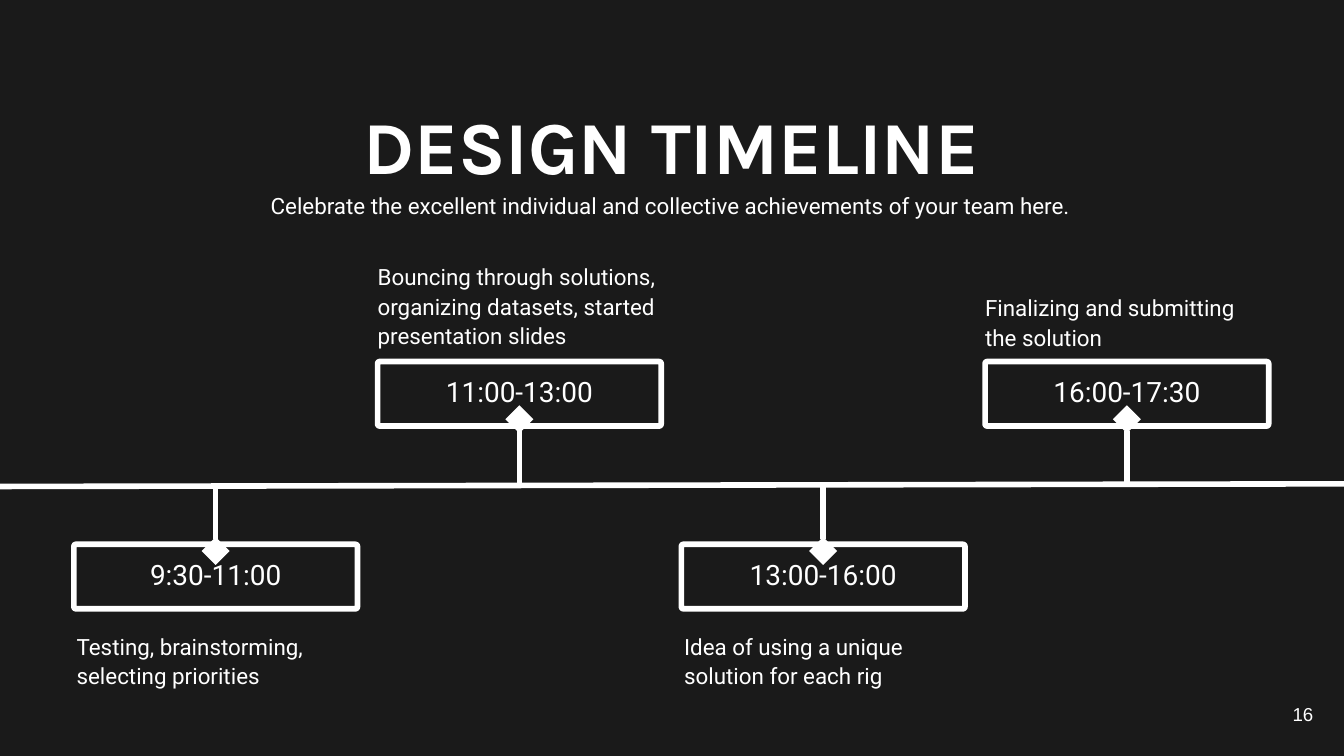
import lxml.etree
import pptx
import pptx.dml.color
import pptx.enum.shapes
import pptx.enum.text
import pptx.oxml.ns
import pptx.util

Inches = pptx.util.Inches
Align = pptx.enum.text.PP_ALIGN
Anchor = pptx.enum.text.MSO_ANCHOR

BACKGROUND = pptx.dml.color.RGBColor(0x1A, 0x1A, 0x1A)
WHITE = pptx.dml.color.RGBColor(0xFF, 0xFF, 0xFF)

SLIDE_WIDTH = 10
SLIDE_HEIGHT = SLIDE_WIDTH * 9 / 16
BOX_WIDTH = 2.11
BOX_HEIGHT = 0.48
FIRST_BOX_LEFT = 0.55
BOX_STEP = 2.26
UPPER_BOX_TOP = 2.69
LOWER_BOX_TOP = 4.05
AXIS_TOP = 3.61
STEM_LENGTH = 0.49
LABEL_OVERHANG = 0.11

EVENTS = [
    ("9:30-11:00", "Testing, brainstorming, selecting priorities", 4.69, 0.42),
    ("11:00-13:00",
     "Bouncing through solutions, organizing datasets, started presentation slides",
     1.94, 0.65),
    ("13:00-16:00", "Idea of using a unique solution for each rig", 4.69, 0.42),
    ("16:00-17:30", "Finalizing and submitting the solution", 2.17, 0.42),
]


def add_text(slide, text, left, top, width, height, size, font="Roboto",
             align=Align.LEFT, anchor=Anchor.TOP, inset=0, spacing=1.0, bold=False):
    shape = slide.shapes.add_textbox(
        Inches(left), Inches(top), Inches(width), Inches(height))
    frame = shape.text_frame
    frame.word_wrap = True
    frame.vertical_anchor = anchor
    frame.margin_left = frame.margin_right = Inches(inset)
    frame.margin_top = frame.margin_bottom = Inches(inset)
    paragraph = frame.paragraphs[0]
    paragraph.alignment = align
    paragraph.line_spacing = spacing
    run = paragraph.add_run()
    run.text = text
    run.font.name = font
    run.font.size = pptx.util.Pt(size)
    run.font.bold = bold
    run.font.color.rgb = WHITE


def set_outline(shape):
    shape.line.color.rgb = WHITE
    shape.line.width = pptx.util.Pt(3)


def add_line(slide, start_x, start_y, end_x, end_y, diamond=False):
    connector = slide.shapes.add_connector(
        pptx.enum.shapes.MSO_CONNECTOR.STRAIGHT,
        Inches(start_x), Inches(start_y), Inches(end_x), Inches(end_y))
    set_outline(connector)
    qualified_name = pptx.oxml.ns.qn
    properties = connector.element.find(qualified_name("p:spPr"))
    if diamond:
        outline = properties.find(qualified_name("a:ln"))
        lxml.etree.SubElement(outline, qualified_name("a:tailEnd"),
                              type="diamond", w="lg", len="lg")
    lxml.etree.SubElement(properties, qualified_name("a:effectLst"))


def add_time_box(slide, time, left, top):
    shape = slide.shapes.add_shape(
        pptx.enum.shapes.MSO_SHAPE.ROUNDED_RECTANGLE,
        Inches(left), Inches(top), Inches(BOX_WIDTH), Inches(BOX_HEIGHT))
    shape.adjustments[0] = 0.03
    shape.shadow.inherit = False
    shape.fill.background()
    set_outline(shape)
    add_text(slide, time, left, top - LABEL_OVERHANG, BOX_WIDTH,
             BOX_HEIGHT + LABEL_OVERHANG, 15, align=Align.CENTER,
             anchor=Anchor.MIDDLE, inset=0.03, spacing=1.3)


def add_event(slide, index, time, description, description_top, description_height):
    is_upper = index % 2 == 1
    left = FIRST_BOX_LEFT + index * BOX_STEP
    center = left + BOX_WIDTH / 2
    add_time_box(slide, time, left, UPPER_BOX_TOP if is_upper else LOWER_BOX_TOP)
    stem_end = AXIS_TOP - STEM_LENGTH if is_upper else AXIS_TOP + STEM_LENGTH
    add_line(slide, center, AXIS_TOP, center, stem_end, diamond=True)
    description_left = left if is_upper else left + 0.02
    add_text(slide, description, description_left, description_top, BOX_WIDTH,
             description_height, 12, spacing=1.1)


def main():
    presentation = pptx.Presentation()
    presentation.slide_width = Inches(SLIDE_WIDTH)
    presentation.slide_height = Inches(SLIDE_HEIGHT)
    slide = presentation.slides.add_slide(presentation.slide_layouts[6])
    slide.background.fill.solid()
    slide.background.fill.fore_color.rgb = BACKGROUND

    add_line(slide, 0, 3.62, 10.03, 3.6)
    for index, event in enumerate(EVENTS):
        add_event(slide, index, *event)
    add_text(slide, "DESIGN TIMELINE", 1.08, 0.74, 7.83, 0.67, 40, font="Karla",
             align=Align.CENTER, bold=True)
    add_text(slide,
             "Celebrate the excellent individual and collective achievements of your team here.",
             0.55, 1.37, 8.88, 0.2, 12, align=Align.CENTER, spacing=1.3)
    add_text(slide, "16", 9.27, 5.1, 0.6, 0.43, 10, font="Arial",
             align=Align.RIGHT, anchor=Anchor.MIDDLE, inset=0.1)
    presentation.save("out.pptx")


if __name__ == "__main__":
    main()
